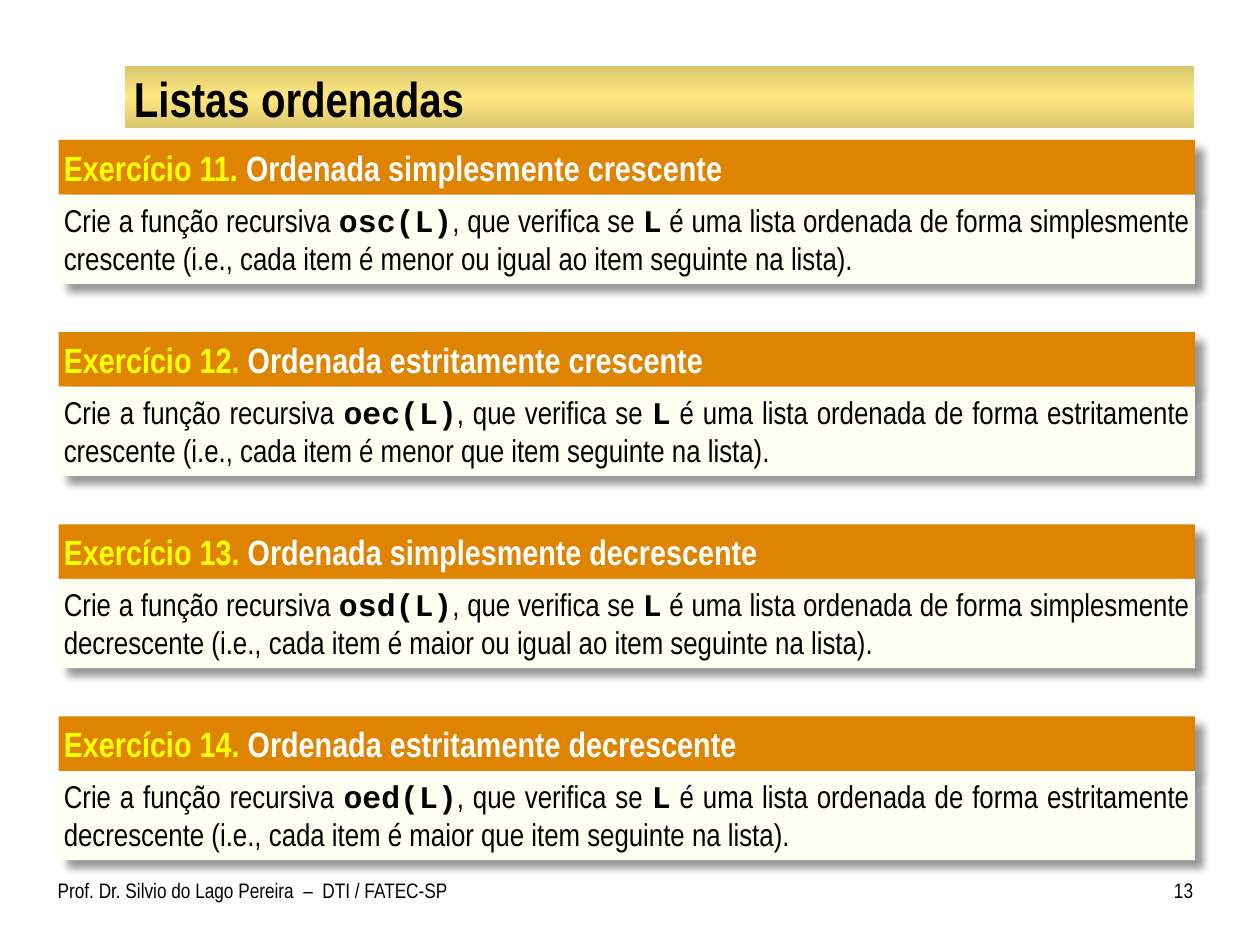
"""Builds the slide of exercises on ordered lists."""
import copy

import pptx
import pptx.dml.color
import pptx.enum.shapes
import pptx.enum.text
import pptx.oxml
import pptx.oxml.ns
import pptx.util

Pt = pptx.util.Pt
ALIGN = pptx.enum.text.PP_ALIGN
ANCHOR = pptx.enum.text.MSO_ANCHOR
RECTANGLE = pptx.enum.shapes.MSO_SHAPE.RECTANGLE
SHADOW = (
    f'<a:effectLst {pptx.oxml.ns.nsdecls("a")}>'
    '<a:outerShdw blurRad="50800" dist="76200" dir="2700000" algn="tl" rotWithShape="0">'
    '<a:srgbClr val="000000"><a:alpha val="40000"/></a:srgbClr>'
    '</a:outerShdw></a:effectLst>'
)


def color(value):
    return pptx.dml.color.RGBColor.from_string(value)


def apply(target, formats):
    for name, value in formats.items():
        setattr(target, name, value)


class Deck:
    narrow = "Arial Narrow"
    code = "Courier New"
    black = "000000"
    white = "FFFFFF"
    yellow = "FFFF00"
    orange = "DE8400"
    cream = "FFFFF3"
    gold_edge = "DAC66E"
    gold_center = "FFE781"

    def __init__(self):
        self.presentation = pptx.Presentation()
        apply(self.presentation, {"slide_width": Pt(720), "slide_height": Pt(540)})
        self.slide = self.presentation.slides.add_slide(self.presentation.slide_layouts[5])

    def set_text(self, shape, runs, size, margins, align=ALIGN.LEFT, anchor=ANCHOR.TOP):
        frame = shape.text_frame
        left, top, right, bottom = map(Pt, margins)
        apply(frame, {
            "word_wrap": True, "auto_size": pptx.enum.text.MSO_AUTO_SIZE.NONE,
            "vertical_anchor": anchor, "margin_left": left, "margin_top": top,
            "margin_right": right, "margin_bottom": bottom,
        })
        paragraph = frame.paragraphs[0]
        paragraph.alignment = align
        for text, font, bold, ink in runs:
            run = paragraph.add_run()
            run.text = text
            apply(run.font, {"name": font, "size": Pt(size), "bold": bold})
            run.font.color.rgb = color(ink)

    def title(self, text, box):
        heading = self.slide.shapes.title
        apply(heading, dict(zip(("left", "top", "width", "height"), map(Pt, box))))
        self.set_text(heading, [(text, self.narrow, True, self.black)], 28,
                      (4.5, 1, 4.5, 1), anchor=ANCHOR.MIDDLE)

    def gold_bar(self, box):
        bar = self.slide.shapes.add_shape(RECTANGLE, *map(Pt, box))
        bar.shadow.inherit = False
        bar.line.fill.background()
        bar.fill.gradient()
        bar.fill.gradient_angle = 90
        stops = bar._element.spPr.find(".//" + pptx.oxml.ns.qn("a:gsLst"))
        stops.insert(1, copy.deepcopy(stops[0]))
        shades = (self.gold_edge, self.gold_center, self.gold_edge)
        for stop, position, shade in zip(bar.fill.gradient_stops, (0, 0.5, 1), shades):
            stop.position = position
            stop.color.rgb = color(shade)
        self.slide.shapes._spTree.insert(2, bar._element)

    def panel(self, group, box, fill):
        panel = group.shapes.add_shape(RECTANGLE, *map(Pt, box))
        panel.fill.solid()
        panel.fill.fore_color.rgb = color(fill)
        panel.line.fill.background()
        panel._element.spPr.append(pptx.oxml.parse_xml(SHADOW))
        return panel

    def exercise(self, top, number, heading, function, order, condition):
        left, width, head_height, body_height = 33.6, 649.2, 31.2, 51
        group = self.slide.shapes.add_group_shape()
        header = self.panel(group, (left, top, width, head_height), self.orange)
        self.set_text(header, [
            (f"Exercício {number}.", self.narrow, True, self.yellow),
            (f" {heading}", self.narrow, True, self.white),
        ], 20, (2.88, 3.6, 7.2, 3.6))
        statement = self.panel(group, (left, top + head_height, width, body_height), self.cream)
        self.set_text(statement, [
            ("Crie a função recursiva ", self.narrow, False, self.black),
            (f"{function}(L)", self.code, True, self.black),
            (", que verifica se ", self.narrow, False, self.black),
            ("L", self.code, True, self.black),
            (f" é uma lista ordenada de forma {order} (i.e., cada item é {condition} "
             "item seguinte na lista).", self.narrow, False, self.black),
        ], 18, (2.88, 3.6, 2.88, 3.6), ALIGN.JUSTIFY)

    def footer(self, text, box, margins, align):
        note = self.slide.shapes.add_textbox(*map(Pt, box))
        self.set_text(note, [(text, self.narrow, False, self.black)], 12, margins, align)


def main():
    deck = Deck()
    deck.gold_bar((71.3, 37.7, 611, 35.5))
    deck.title("Listas ordenadas", (72, 38.9, 610, 33.8))
    exercises = (
        ("osc", "simplesmente crescente", "menor ou igual ao"),
        ("oec", "estritamente crescente", "menor que"),
        ("osd", "simplesmente decrescente", "maior ou igual ao"),
        ("oed", "estritamente decrescente", "maior que"),
    )
    first_top, pitch = 80, 109.8
    for index, (function, order, condition) in enumerate(exercises):
        deck.exercise(first_top + index * pitch, 11 + index, f"Ordenada {order}",
                      function, order, condition)
    deck.footer("Prof. Dr. Silvio do Lago Pereira  –  DTI / FATEC-SP",
                (33, 498.2, 235.5, 30), (0, 3.6, 7.2, 3.6), ALIGN.LEFT)
    deck.footer("13", (653.8, 498.2, 28, 30), (7.2, 3.6, 0, 3.6), ALIGN.RIGHT)
    deck.presentation.save("out.pptx")


if __name__ == "__main__":
    main()
